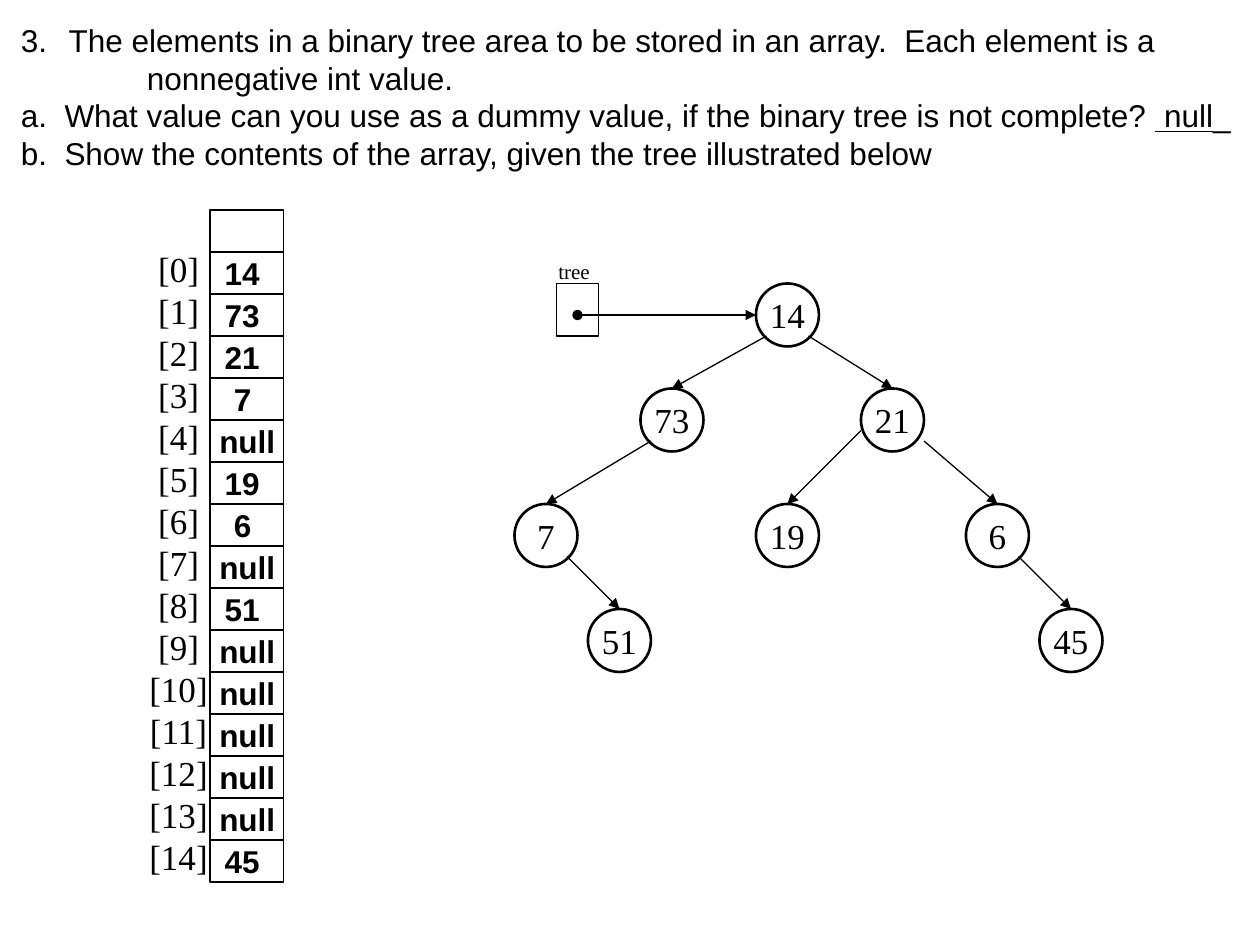
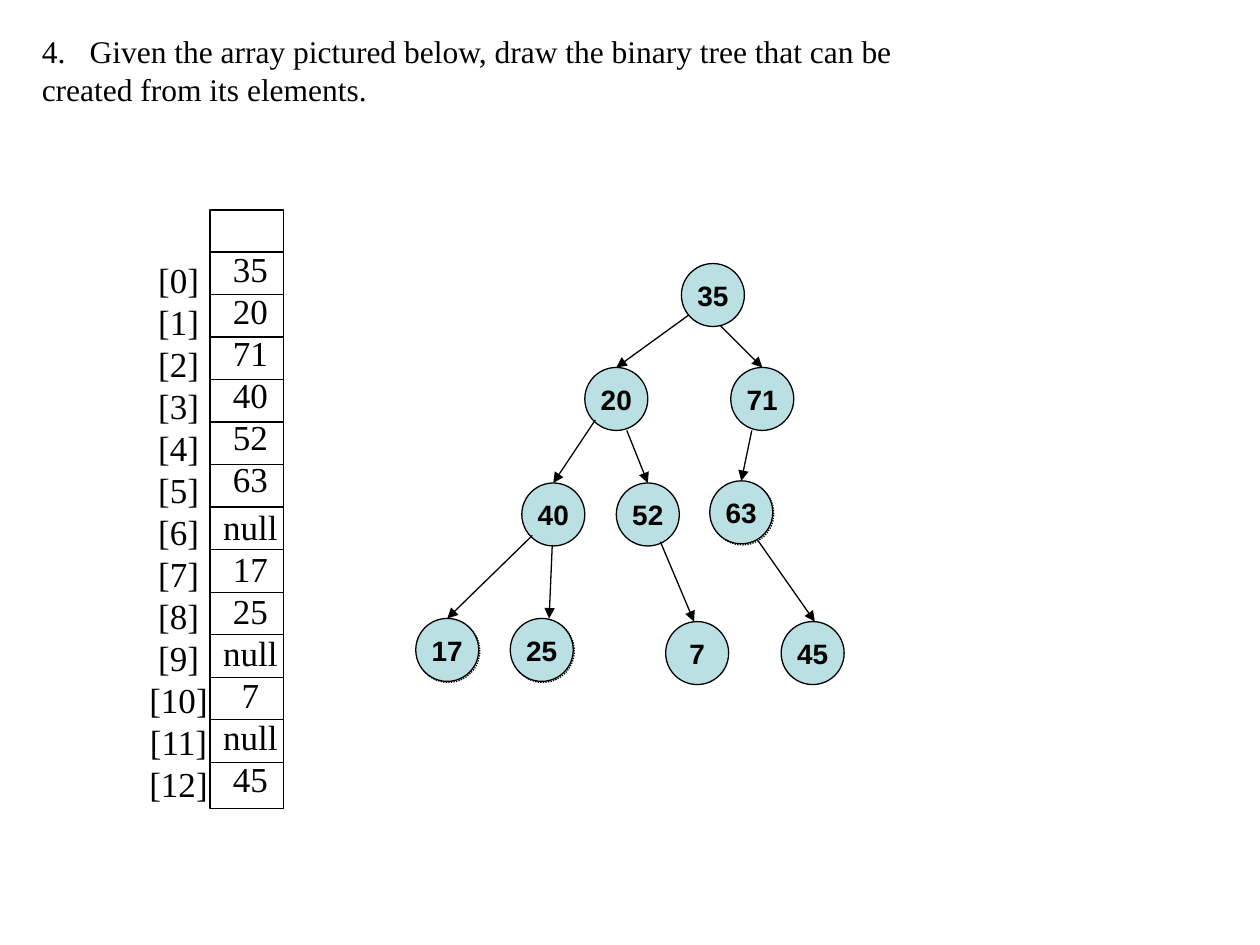
"""Builds two exercise slides on storing binary trees in arrays."""
from dataclasses import dataclass

from lxml.etree import SubElement
from pptx import Presentation
from pptx.dml.color import RGBColor
from pptx.enum.dml import MSO_LINE
from pptx.enum.shapes import MSO_CONNECTOR, MSO_SHAPE
from pptx.enum.text import MSO_ANCHOR, PP_ALIGN
from pptx.oxml.ns import qn
from pptx.util import Inches, Pt

BLACK = RGBColor(0x00, 0x00, 0x00)
AQUA = RGBColor(0xBB, 0xE0, 0xE3)
SANS, SERIF = "Arial", "Times New Roman"
COLUMNS, ROWS = 120, 90
NODE = 6


@dataclass
class Node:
    """A tree node: its place, its parent's value, and where the edge starts and lands."""
    value: str
    x: float
    y: float
    parent: str = ""
    start: tuple = (1, 5)
    land: float = NODE / 2
    dotted: bool = False


def place(*cells):
    """Turn grid cells into lengths on the slide."""
    return [int(prs.slide_width * c / COLUMNS) for c in cells]


def write(tf, paragraphs, size=20, font=SERIF, bold=False, align=PP_ALIGN.LEFT,
          anchor=MSO_ANCHOR.TOP):
    """Write paragraphs, each a string or a list of (text, underlined) runs."""
    tf.word_wrap = False
    tf.vertical_anchor = anchor
    for i, runs in enumerate(paragraphs):
        p = tf.paragraphs[0] if i == 0 else tf.add_paragraph()
        p.alignment = align
        p.line_spacing = Pt(size * 1.2)
        for text, underlined in [(runs, False)] if isinstance(runs, str) else runs:
            r = p.add_run()
            r.text = text
            r.font.size, r.font.name, r.font.bold = Pt(size), font, bold
            r.font.color.rgb = BLACK
            if underlined:
                r.font.underline = True
    return tf


def add_text(s, box, paragraphs, **fmt):
    """Add a text box at a grid box."""
    return write(s.shapes.add_textbox(*place(*box)).text_frame, paragraphs, **fmt)


def add_outline(s, kind, box, fill=None, weight=0.75):
    """Add a black-edged preset shape, hollow unless a fill is given."""
    sp = s.shapes.add_shape(kind, *place(*box))
    sp.shadow.inherit = False
    if fill is None:
        sp.fill.background()
    else:
        sp.fill.solid()
        sp.fill.fore_color.rgb = fill
    sp.line.color.rgb = BLACK
    sp.line.width = Pt(weight)
    return sp


def add_line(s, start, end, head=None, tail=None):
    """Add a thin straight line with optional ends."""
    sp = s.shapes.add_connector(MSO_CONNECTOR.STRAIGHT, *place(*start, *end))
    sp.line.color.rgb = BLACK
    sp.line.width = Pt(0.75)
    ln = sp.line._get_or_add_ln()
    for tag, kind in (("a:headEnd", head), ("a:tailEnd", tail)):
        if kind:
            SubElement(ln, qn(tag), type=kind)
    SubElement(sp._element.spPr, qn("a:effectLst"))


def indent(p, margin, number=None):
    """Hang a paragraph, with an automatic number if one is given."""
    pPr = p._p.get_or_add_pPr()
    pPr.set("marL", str(Inches(margin)))
    pPr.set("indent", str(Inches(-0.38)))
    if number:
        SubElement(pPr, qn("a:buFont"), typeface="+mj-lt")
        SubElement(pPr, qn("a:buAutoNum"), type="arabicPeriod", startAt=str(number))


def draw_array(s, box, count, pitch, label_drop):
    """Draw an array column of count cells, with its indices to the left."""
    x, y, w, h = box
    add_outline(s, MSO_SHAPE.RECTANGLE, box)
    add_text(s, (x - 7, y + label_drop, 8, 4 * count + 1.2),
             [f"[{i}]" for i in range(count)], align=PP_ALIGN.CENTER)
    for i in range(count):
        top = y + 4 + i * pitch
        add_line(s, (x, top), (x + w, top))


def draw_tree(s, origin, nodes, fill=None, weight=0.75, **fmt):
    """Draw nodes relative to an origin, and an arrow from each parent."""
    left, top = origin
    by_value = {n.value: n for n in nodes}
    for n in nodes:
        x, y = left + n.x, top + n.y
        if n.dotted:
            sp = add_outline(s, MSO_SHAPE.OVAL, (x + 0.1, y + 0.1, NODE, NODE))
            sp.line.dash_style = MSO_LINE.ROUND_DOT
        sp = add_outline(s, MSO_SHAPE.OVAL, (x, y, NODE, NODE), fill, weight)
        write(sp.text_frame, [n.value], align=PP_ALIGN.CENTER,
              anchor=MSO_ANCHOR.MIDDLE, **fmt)
    for n in nodes:
        if n.parent:
            up = by_value[n.parent]
            add_line(s, (left + up.x + n.start[0], top + up.y + n.start[1]),
                     (left + n.x + n.land, top + n.y), tail="triangle")


def draw_pointer(s, box, reach):
    """Draw the tree variable and its arrow to the root."""
    x, y, w, h = box
    add_outline(s, MSO_SHAPE.RECTANGLE, box)
    add_line(s, (x + w / 2, y + 3), (reach, y + 3), head="oval", tail="triangle")
    add_text(s, (x - 1, y - 3, 5.4, 3.6), ["tree"], size=12)


def draw_answers(s, box, values):
    """Write one bold answer on each row of the array."""
    x, y, w, pitch = box
    shifts = {1: 1.1, 2: 0.2, 4: -0.3}
    for i, value in enumerate(values):
        add_text(s, (x + shifts[len(value)], y + i * pitch, w, 4.8), [value],
                 size=18, font=SANS, bold=True)


def build_storing_slide(s):
    """Question 3: store a given tree in an array."""
    tf = add_text(s, (0.8, 1.4, 118.7, 15.7), [
        "The elements in a binary tree area to be stored in an array.  Each element is a ",
        "nonnegative int value.",
        [("a.  What value can you use as a dummy value, if the binary tree is not complete? ",
          False), (" null", True), ("_", False)],
        "b.  Show the contents of the array, given the tree illustrated below",
    ], size=18, font=SANS)
    for p, margin, number in zip(tf.paragraphs, (0.38, 1.38, 0.38, 0.38), (3, 0, 0, 0)):
        indent(p, margin, number)
    draw_tree(s, (49, 27), [
        Node("14", 23, 0),
        Node("73", 12, 10, "14"),
        Node("21", 33, 10, "14", (5, 5)),
        Node("7", 0, 21, "73"),
        Node("51", 7, 31, "7", (5, 5)),
        Node("19", 23, 21, "21", (0, 4)),
        Node("6", 43, 21, "21", (6, 5)),
        Node("45", 50, 31, "6", (5, 5)),
    ], weight=1.5)
    draw_pointer(s, (53, 27, 4, 5), 72)
    draw_array(s, (20, 20, 7, 64), 15, 4, 3)
    draw_answers(s, (20, 23.6, 7.8, 4),
                 "14 73 21 7 null 19 6 null 51 null null null null null 45".split())


def build_drawing_slide(s):
    """Question 4: draw the tree held in a given array."""
    values = "35 20 71 40 52 63 null 17 25 null 7 null 45".split()
    draw_array(s, (20, 20, 7, 57), len(values), 4.05, 4)
    tf = add_text(s, (2.8, 2.5, 84.2, 8.5), [
        "Given the array pictured below, draw the binary tree that can be",
        "created from its elements.",
    ], size=18)
    indent(tf.paragraphs[0], 0.38, 4)
    tf = add_text(s, (20, 23, 7.7, 53.7), values, align=PP_ALIGN.CENTER)
    tf.paragraphs[values.index("null")].space_before = Pt(3)
    draw_tree(s, (39.6, 25.1), [
        Node("35", 25.3, 0),
        Node("20", 16.1, 9.9, "35", (0.7, 4.9)),
        Node("71", 30, 9.9, "35", (3.7, 5.9)),
        Node("40", 10.1, 20.9, "20"),
        Node("52", 19.1, 20.9, "20", (4, 6)),
        Node("63", 28, 20.7, "71", (2, 6), dotted=True),
        Node("17", 0, 33.8, "40", dotted=True),
        Node("25", 9, 33.8, "40", (2.9, 5.9), 3.7, dotted=True),
        Node("7", 23.8, 34.1, "52", (4.2, 5.6), 2.7),
        Node("45", 34.8, 34.1, "63", (4.6, 5.7), 3.2),
    ], fill=AQUA, size=16, font=SANS, bold=True)


prs = Presentation()
prs.slide_width, prs.slide_height = Inches(COLUMNS / 12), Inches(ROWS / 12)
for build in (build_storing_slide, build_drawing_slide):
    build(prs.slides.add_slide(prs.slide_layouts[6]))
prs.save("out.pptx")
